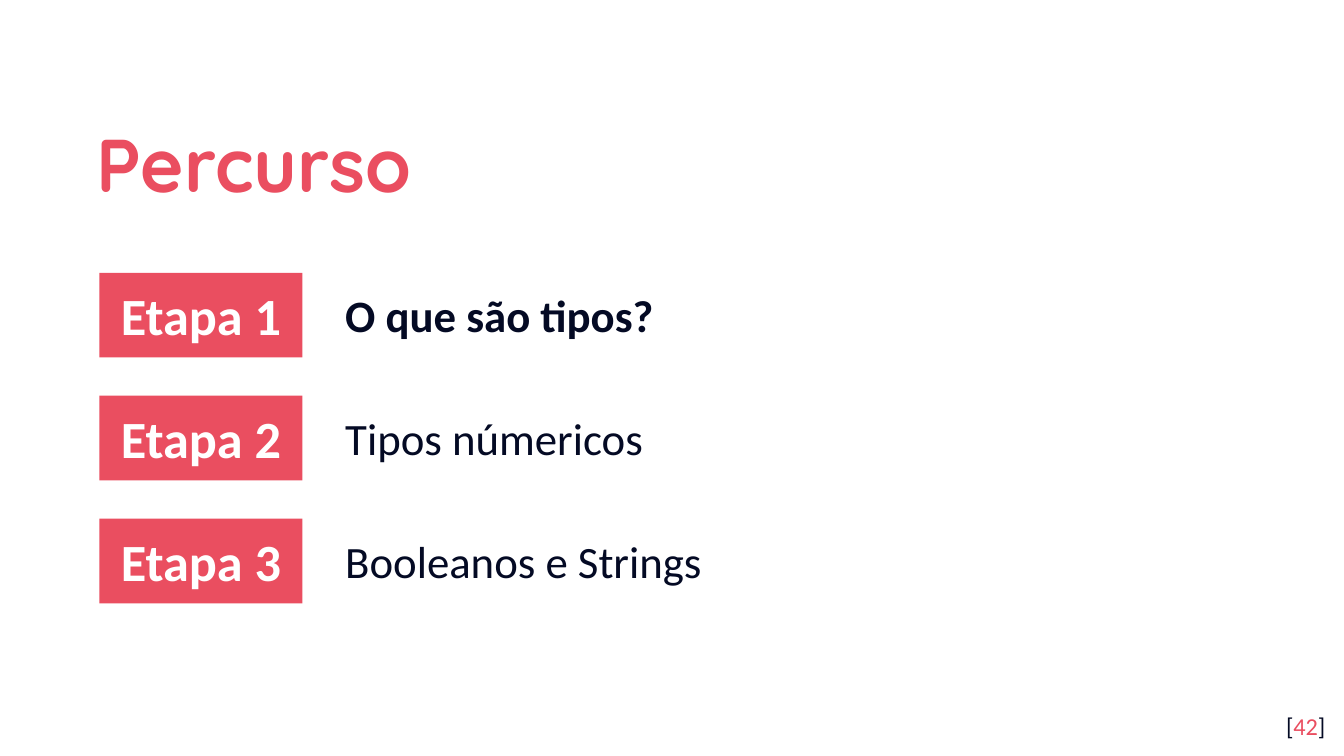
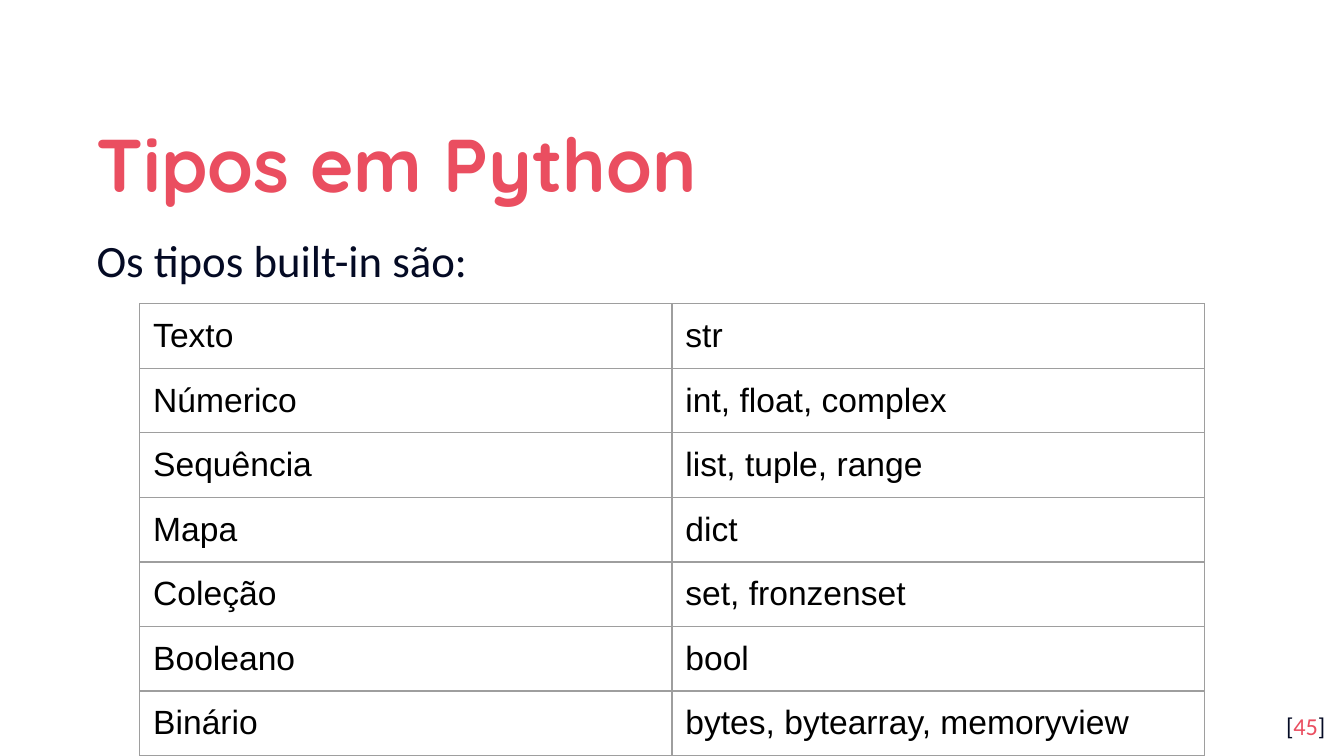
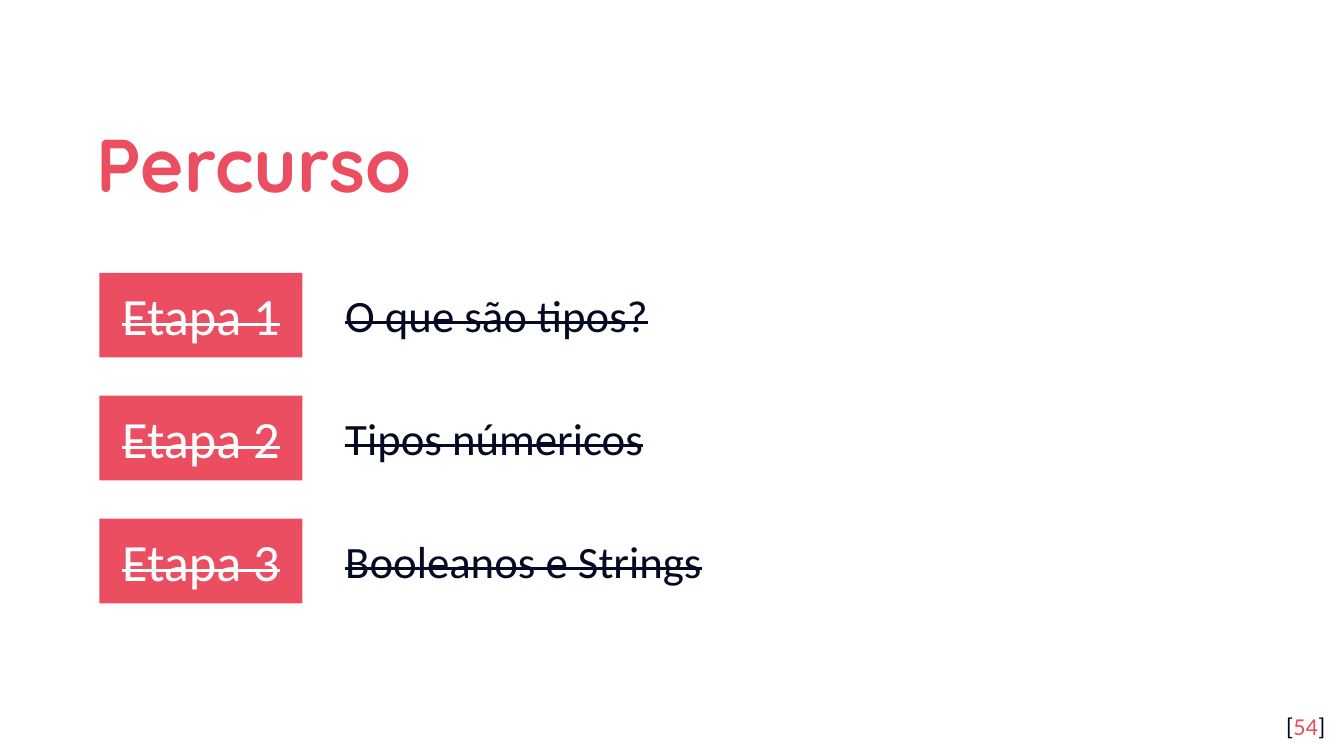
"""Builds three lesson slides: route, built-in types, finished route."""
from lxml.etree import SubElement
from pptx import Presentation
from pptx.dml.color import RGBColor
from pptx.enum.shapes import MSO_SHAPE
from pptx.enum.text import MSO_ANCHOR, MSO_AUTO_SIZE, PP_ALIGN
from pptx.oxml.ns import qn
from pptx.util import Inches, Pt

CELL = Inches(0.1)
COLUMNS, ROWS = 100, 56.25
TITLE_ONLY = 5
MARGIN = 6.2
RED, NAVY, WHITE, BLACK, GRAY = "EA4E60", "040A24", "FFFFFF", "000000", "9E9E9E"
TITLE_FONT, BODY_FONT, TABLE_FONT = "Quicksand", "Calibri", "Arial"

STEPS = ["O que são tipos?", "Tipos númericos", "Booleanos e Strings"]
STEP_TOP, STEP_PITCH, STEP_HEIGHT = 20.3, 9.15, 6.3
TYPES = [
    ("Texto", "str"),
    ("Númerico", "int, float, complex"),
    ("Sequência", "list, tuple, range"),
    ("Mapa", "dict"),
    ("Coleção", "set, fronzenset"),
    ("Booleano", "bool"),
    ("Binário", "bytes, bytearray, memoryview"),
]


def color(value):
    """Turn a hex string into a colour."""
    return RGBColor.from_string(value)


def grid(*cells):
    """Turn grid cells into slide lengths."""
    return [round(cell * CELL) for cell in cells]


def set_font(font, name, size, ink, bold=False, strike=False):
    """Format a paragraph's font."""
    font.name, font.size, font.bold = name, Pt(size), bold
    font.color.rgb = color(ink)
    if strike:
        font._rPr.set("strike", "sngStrike")


def set_frame(frame, anchor=MSO_ANCHOR.TOP, top=1, bottom=1):
    """Set wrapping, anchor and insets; return the first paragraph."""
    frame.word_wrap = True
    frame.auto_size = MSO_AUTO_SIZE.NONE
    frame.vertical_anchor = anchor
    frame.margin_left = frame.margin_right = CELL
    frame.margin_top, frame.margin_bottom = grid(top, bottom)
    return frame.paragraphs[0]


def add_page(deck, title, title_width, number):
    """Add a slide with its title and page number."""
    page = deck.slides.add_slide(deck.slide_layouts[TITLE_ONLY])
    page.background.fill.solid()
    page.background.fill.fore_color.rgb = color(WHITE)
    box = page.shapes.title
    box.left, box.top, box.width, box.height = grid(MARGIN, 7, title_width, 9.2)
    para = set_frame(box.text_frame, MSO_ANCHOR.MIDDLE)
    para.text = title
    para.alignment, para.line_spacing = PP_ALIGN.LEFT, 1.15
    set_font(para.font, TITLE_FONT, 40, RED, bold=True)
    add_page_number(page, number)
    return page


def add_page_number(page, number):
    """Add the bracketed number in the bottom right corner."""
    box = page.shapes.add_textbox(*grid(93.6, 51.9, 6, 4.3))
    para = set_frame(box.text_frame)
    para.alignment = PP_ALIGN.RIGHT
    set_font(para.font, BODY_FONT, 13, NAVY)
    for text, ink in (("[", NAVY), (str(number), RED), ("]", NAVY)):
        span = para.add_run()
        span.text = text
        span.font.color.rgb = color(ink)


def add_step(page, index, topic, current, done):
    """Add a step's label and its topic."""
    top = STEP_TOP + index * STEP_PITCH
    label = page.shapes.add_shape(MSO_SHAPE.RECTANGLE, *grid(7.4, top, 15.1, STEP_HEIGHT))
    label.shadow.inherit = False
    label.fill.solid()
    label.fill.fore_color.rgb = color(RED)
    label.line.fill.background()
    para = set_frame(label.text_frame, MSO_ANCHOR.MIDDLE)
    para.text, para.alignment = f"Etapa {index + 1}", PP_ALIGN.CENTER
    set_font(para.font, BODY_FONT, 28, WHITE, bold=not done, strike=done)

    box = page.shapes.add_textbox(*grid(24.7, top + 0.6, 67.5, 5))
    para = set_frame(box.text_frame, top=0.5, bottom=0.5)
    para.text = topic
    set_font(para.font, BODY_FONT, 24, NAVY, bold=current, strike=done)


def add_route(deck, number, current=None, done=False):
    """Add a slide listing the steps of the lesson."""
    page = add_page(deck, "Percurso", 81, number)
    for index, topic in enumerate(STEPS):
        add_step(page, index, topic, index == current, done)


def add_intro(page, text):
    """Add the sentence under the title."""
    box = page.shapes.add_textbox(*grid(MARGIN, 16.2, 87.7, 33.7))
    para = set_frame(box.text_frame, top=0.5)
    para.text = text
    para.alignment, para.line_spacing = PP_ALIGN.JUSTIFY, 1.15
    set_font(para.font, BODY_FONT, 24, NAVY)


def set_borders(cell):
    """Draw a thin gray line on each side of a cell."""
    properties = cell._tc.get_or_add_tcPr()
    for side in ("a:lnL", "a:lnR", "a:lnT", "a:lnB"):
        line = SubElement(properties, qn(side), w=str(Pt(0.75)))
        fill = SubElement(line, qn("a:solidFill"))
        SubElement(fill, qn("a:srgbClr"), val=GRAY)


def add_type_table(page, rows):
    """Add the table of type groups and their names."""
    width, height = 39.6, 4.2
    frame = page.shapes.add_table(
        len(rows), 2, *grid(10.4, 22.6, 2 * width, height * len(rows)))
    table = frame.table
    table.first_row = table.horz_banding = False
    for row, texts in enumerate(rows):
        for column, text in enumerate(texts):
            cell = table.cell(row, column)
            cell.text = text
            cell.margin_left = cell.margin_right = CELL
            cell.margin_top = cell.margin_bottom = CELL
            set_font(cell.text_frame.paragraphs[0].font, TABLE_FONT, 18, BLACK)
            set_borders(cell)
            cell.fill.background()


def main():
    """Build and save the deck."""
    deck = Presentation()
    deck.slide_width, deck.slide_height = grid(COLUMNS, ROWS)
    add_route(deck, 42, current=0)
    page = add_page(deck, "Tipos em Python", 87.7, 45)
    add_intro(page, "Os tipos built-in são:")
    add_type_table(page, TYPES)
    add_route(deck, 54, done=True)
    deck.save("out.pptx")


if __name__ == "__main__":
    main()
